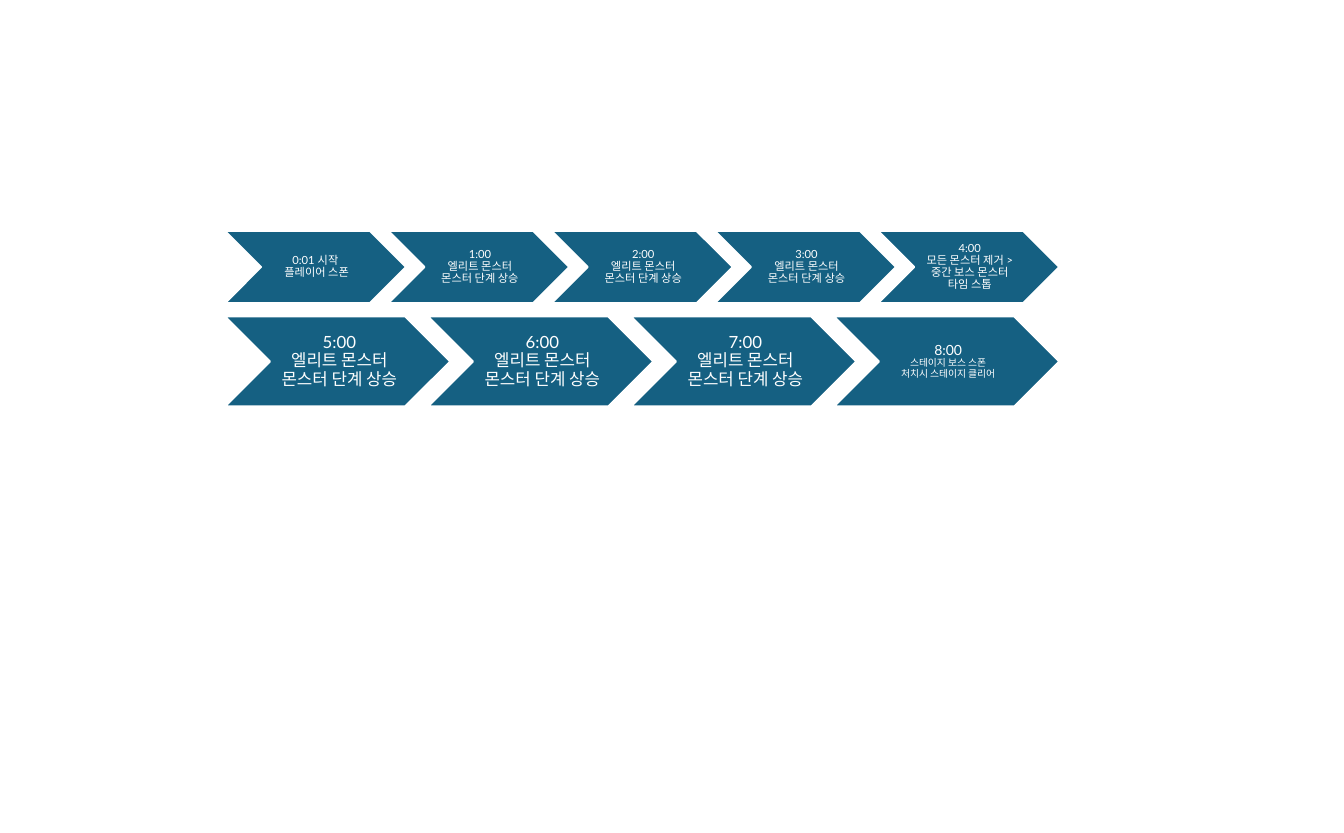
from pptx import Presentation
from pptx import util as u
from pptx.dml.color import RGBColor
from pptx.enum import shapes, text

COLORS = {"step": "156082", "white": "FFFFFF"}
FONT = "Lato"
SLIDE_WIDTH, SLIDE_HEIGHT = u.Inches(40 / 3), u.Cm(21)
ROW_LEFT, ROW_WIDTH, ROW_TOP, ROW_GAP = 2.23, 8.28, 2.29, 0.13
PITCH, ASPECT = 0.9, 0.4
ELITE = ["엘리트 몬스터", "몬스터 단계 상승"]

FIRST_HALF = [
    (["0:01 시작 ", "플레이어 스폰"], 8, 8),
    (["1:00", *ELITE], 8, 8),
    (["2:00", *ELITE], 8, 8),
    (["3:00", *ELITE], 8, 8),
    (["4:00", "모든 몬스터 제거 >", "중간 보스 몬스터", "타임 스톱"], 8, 8),
]
SECOND_HALF = [
    (["5:00", *ELITE], 12, 12),
    (["6:00", *ELITE], 12, 12),
    (["7:00", *ELITE], 12, 12),
    (["8:00", "스테이지 보스 스폰", "처치시 스테이지 클리어"], 10, 7),
]


def color(name):
    """Return the named palette colour."""
    return RGBColor.from_string(COLORS[name])


def write_step(shape, lines, time_size, event_size):
    """Write the time and its events into a chevron."""
    frame = shape.text_frame
    frame.word_wrap = True
    frame.vertical_anchor = text.MSO_ANCHOR.MIDDLE
    inset = u.Pt(time_size / 9)
    frame.margin_left = 3 * inset
    frame.margin_top = frame.margin_right = frame.margin_bottom = inset
    paragraph = frame.paragraphs[0]
    paragraph.text = "\v".join(lines)
    paragraph.alignment = text.PP_ALIGN.CENTER
    paragraph.line_spacing = 0.9
    for index, run in enumerate(paragraph.runs):
        run.font.name = FONT
        run.font.size = u.Pt(event_size if index else time_size)
        run.font.color.rgb = color("white")


def add_step_row(slide, left, top, width, steps):
    """Fill the width with overlapping chevrons and return the row height."""
    step_width = width / (1 + PITCH * (len(steps) - 1))
    step_height = step_width * ASPECT
    group = slide.shapes.add_group_shape()
    for column, step in enumerate(steps):
        shape = group.shapes.add_shape(
            shapes.MSO_SHAPE.CHEVRON,
            u.Inches(left + column * PITCH * step_width), u.Inches(top),
            u.Inches(step_width), u.Inches(step_height))
        shape.shadow.inherit = False
        shape.fill.solid()
        shape.fill.fore_color.rgb = color("step")
        shape.line.color.rgb = color("white")
        shape.line.width = u.Pt(1.5)
        write_step(shape, *step)
    return step_height


def add_stage_timeline(slide, left, top, width):
    """Stack the two rows of the stage timeline."""
    for steps in (FIRST_HALF, SECOND_HALF):
        top += add_step_row(slide, left, top, width, steps) + ROW_GAP


def main():
    """Build and save the presentation."""
    presentation = Presentation()
    presentation.slide_width = SLIDE_WIDTH
    presentation.slide_height = SLIDE_HEIGHT
    slide = presentation.slides.add_slide(presentation.slide_layouts[6])
    add_stage_timeline(slide, ROW_LEFT, ROW_TOP, ROW_WIDTH)
    presentation.save("out.pptx")


if __name__ == "__main__":
    main()
